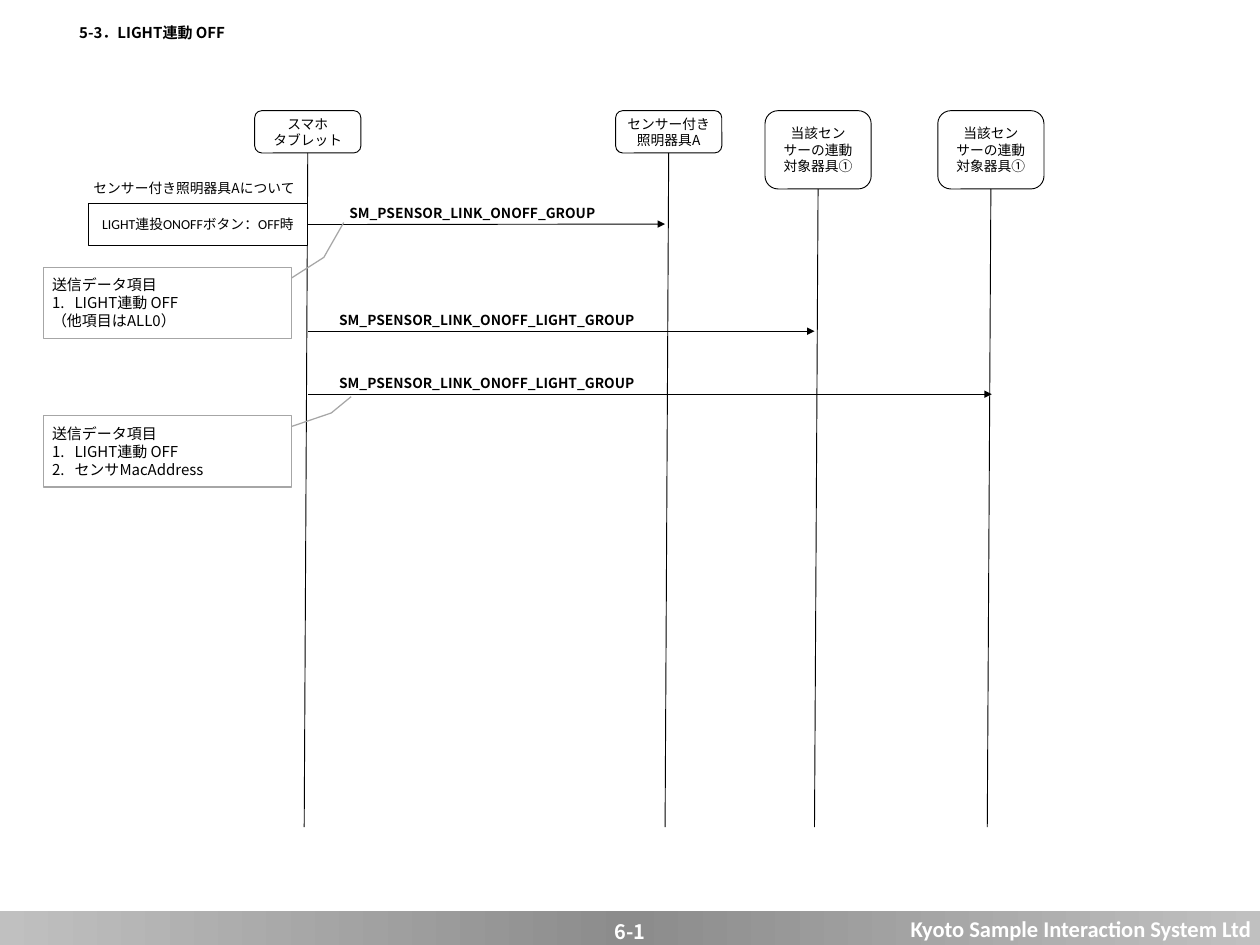
from lxml.etree import SubElement
from pptx import Presentation
from pptx.dml.color import RGBColor
from pptx.enum.shapes import MSO_CONNECTOR, MSO_SHAPE
from pptx.enum.text import MSO_ANCHOR, MSO_AUTO_SIZE, PP_ALIGN
from pptx.oxml.ns import qn
from pptx.util import Inches, Pt

BLACK = RGBColor(0, 0, 0)
WHITE = RGBColor(255, 255, 255)
GRAY = RGBColor(0xA6, 0xA6, 0xA6)
EDGE = RGBColor(0xC0, 0xC0, 0xC0)
MID = RGBColor(0x8C, 0x8C, 0x8C)
NOTO = "Noto Sans CJK JP"
CALIBRI = "Calibri"
WIDE, HIGH = 14, 10.5

TITLE = "5-3．LIGHT連動 OFF"
TOPIC = "センサー付き照明器具Aについて"
BUTTON = "LIGHT連投ONOFFボタン：OFF時"
FIRM = "Kyoto Sample Interaction System Ltd"
PAGE = "6-1"
HEADS = [
    (2.83, 0.47, ["スマホ", "タブレット"]),
    (6.84, 0.47, ["センサー付き", "照明器具A"]),
    (8.5, 0.87, ["当該センサーの連動対象器具①"]),
    (10.42, 0.87, ["当該センサーの連動対象器具①"]),
]
CALLS = [
    (2.49, 7.39, 3.66, "SM_PSENSOR_LINK_ONOFF_GROUP"),
    (3.68, 9.05, 3.98, "SM_PSENSOR_LINK_ONOFF_LIGHT_GROUP"),
    (4.38, 11.02, 3.98, "SM_PSENSOR_LINK_ONOFF_LIGHT_GROUP"),
]
NOTES = [
    (2.97, [0.15, 1, -0.14, 1.13, -0.63, 1.21],
     ["送信データ項目", "LIGHT連動 OFF", "（他項目はALL0）"], [1]),
    (4.62, [0.15, 1, -0.04, 1.16, -0.27, 1.24],
     ["送信データ項目", "LIGHT連動 OFF", "センサMacAddress"], [1, 2]),
]
HEAD_TOP, HEAD_WIDE, FOOT, SLANT = 1.23, 1.18, 9.19, 0.04
START = HEADS[0][0] + HEAD_WIDE / 2

deck = Presentation()
deck.slide_width, deck.slide_height = Inches(WIDE), Inches(HIGH)
slide = deck.slides.add_slide(deck.slide_layouts[5])
shapes = slide.shapes


def write(shape, lines, size=11, font=NOTO, color=BLACK, bold=False,
          align=PP_ALIGN.CENTER, anchor=MSO_ANCHOR.MIDDLE):
    frame = shape.text_frame
    frame.word_wrap = True
    frame.auto_size = MSO_AUTO_SIZE.NONE
    frame.vertical_anchor = anchor
    frame.text = "\n".join(lines)
    for para in frame.paragraphs:
        para.alignment = align
        for run in para.runs:
            run.font.size, run.font.bold = Pt(size), bold
            run.font.name = font
            run.font.color.rgb = color
            props = run.font._element
            SubElement(props, qn("a:ea"), typeface=NOTO)
    return shape


def box(kind, *area, fill=WHITE, line=BLACK, weight=0.75):
    shape = shapes.add_shape(kind, *map(Inches, area))
    shape.shadow.inherit = False
    if fill is None:
        shape.fill.background()
    else:
        shape.fill.solid()
        shape.fill.fore_color.rgb = fill
    if line is None:
        shape.line.fill.background()
    else:
        shape.line.color.rgb = line
        shape.line.width = Pt(weight)
    return shape


def label(*area):
    return shapes.add_textbox(*map(Inches, area))


def link(*ends, arrow=False):
    line = shapes.add_connector(MSO_CONNECTOR.STRAIGHT, *map(Inches, ends))
    line.line.color.rgb = BLACK
    line.line.width = Pt(0.75)
    if arrow:
        SubElement(line.line._get_or_add_ln(), qn("a:tailEnd"), type="triangle")
    SubElement(line._element.spPr, qn("a:effectLst"))
    return line


def blend(shape, stops):
    props = shape._element.spPr
    shape.fill.gradient()
    shape.fill.gradient_angle = 0
    rows = props.find(qn("a:gradFill")).find(qn("a:gsLst"))
    rows.clear()
    for share, color in stops:
        stop = SubElement(rows, qn("a:gs"), pos=str(share * 1000))
        SubElement(stop, qn("a:srgbClr"), val=str(color))


def number(shape, items):
    for row, para in enumerate(shape.text_frame.paragraphs):
        props = para._p.get_or_add_pPr()
        props.set("marL", str(Inches(0.25)))
        props.set("indent", str(Inches(-0.25)))
        if row in items:
            SubElement(props, qn("a:buFont"), typeface="+mj-lt")
            SubElement(props, qn("a:buAutoNum"), type="arabicPeriod")


bar = box(MSO_SHAPE.RECTANGLE, 0, 10.12, WIDE, 0.4, line=None)
blend(bar, [(0, EDGE), (50, MID), (100, EDGE)])
write(bar, [FIRM], size=18, font=CALIBRI, color=WHITE, bold=True,
      align=PP_ALIGN.RIGHT)
write(label(0, 10.16, WIDE, 0.37), [PAGE], size=16, color=WHITE, bold=True)

title = shapes.title
title.left, title.top, title.width, title.height = map(
    Inches, (0.78, 0.21, 9.05, 0.3))
write(title, [TITLE], size=12, bold=True, align=PP_ALIGN.LEFT)

for left, high, lines in HEADS:
    head = box(MSO_SHAPE.ROUNDED_RECTANGLE, left, HEAD_TOP, HEAD_WIDE, high)
    write(head, lines)
    mid = left + HEAD_WIDE / 2
    link(mid, HEAD_TOP + high, mid - SLANT, FOOT).begin_connect(head, 2)

button = box(MSO_SHAPE.RECTANGLE, 0.98, 2.26, 2.44, 0.47)
write(button, [BUTTON], font=CALIBRI)
write(label(0.94, 1.86, 3.23, 0.47), [TOPIC], align=PP_ALIGN.LEFT)

for row, (y, end, wide, name) in enumerate(CALLS):
    line = link(START, y, end, y, arrow=True)
    if row == 0:
        line.begin_connect(button, 3)
    write(label(START, y - 0.36, wide, 0.47), [name], bold=True)

for top, bends, lines, items in NOTES:
    note = box(MSO_SHAPE.LINE_CALLOUT_2, 0.48, top, 2.76, 0.79,
               fill=None, line=GRAY, weight=1)
    for spot, bend in enumerate(bends):
        note.adjustments[spot] = bend
    write(note, lines, size=12, align=PP_ALIGN.LEFT)
    number(note, items)

deck.save("out.pptx")
